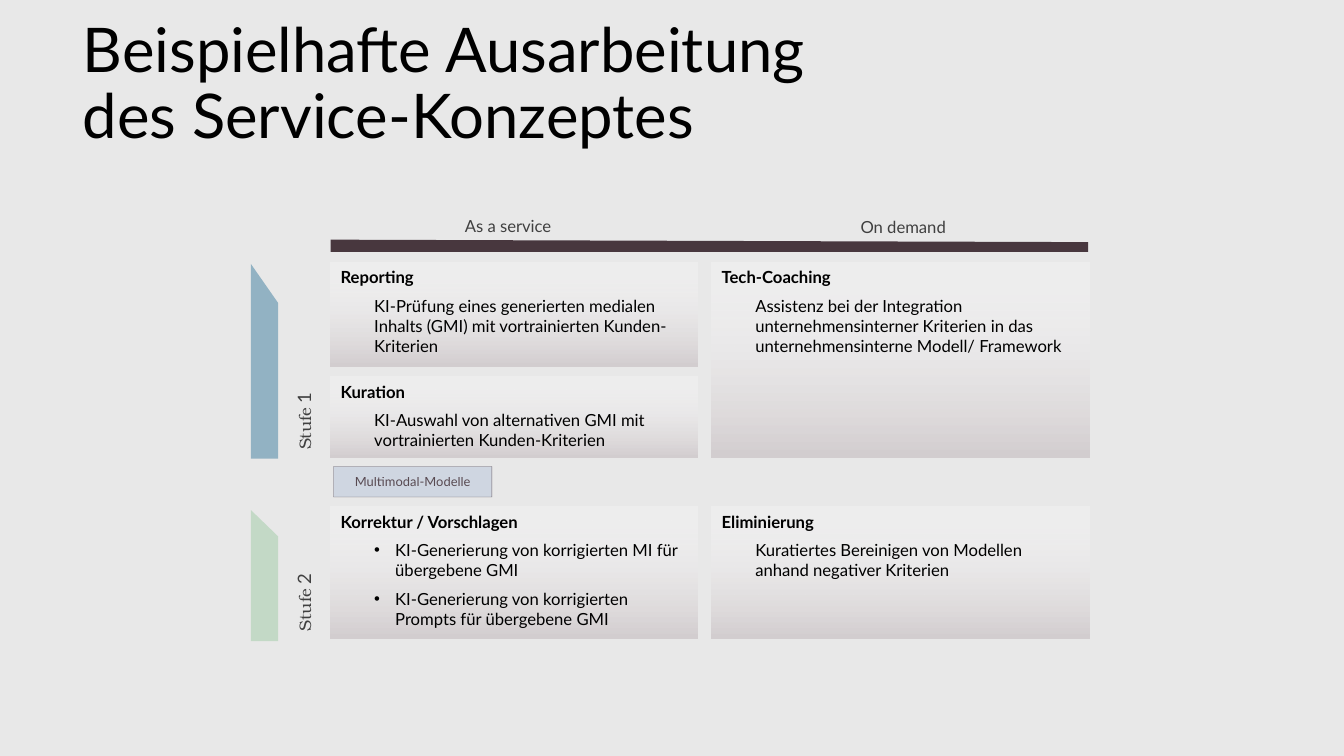
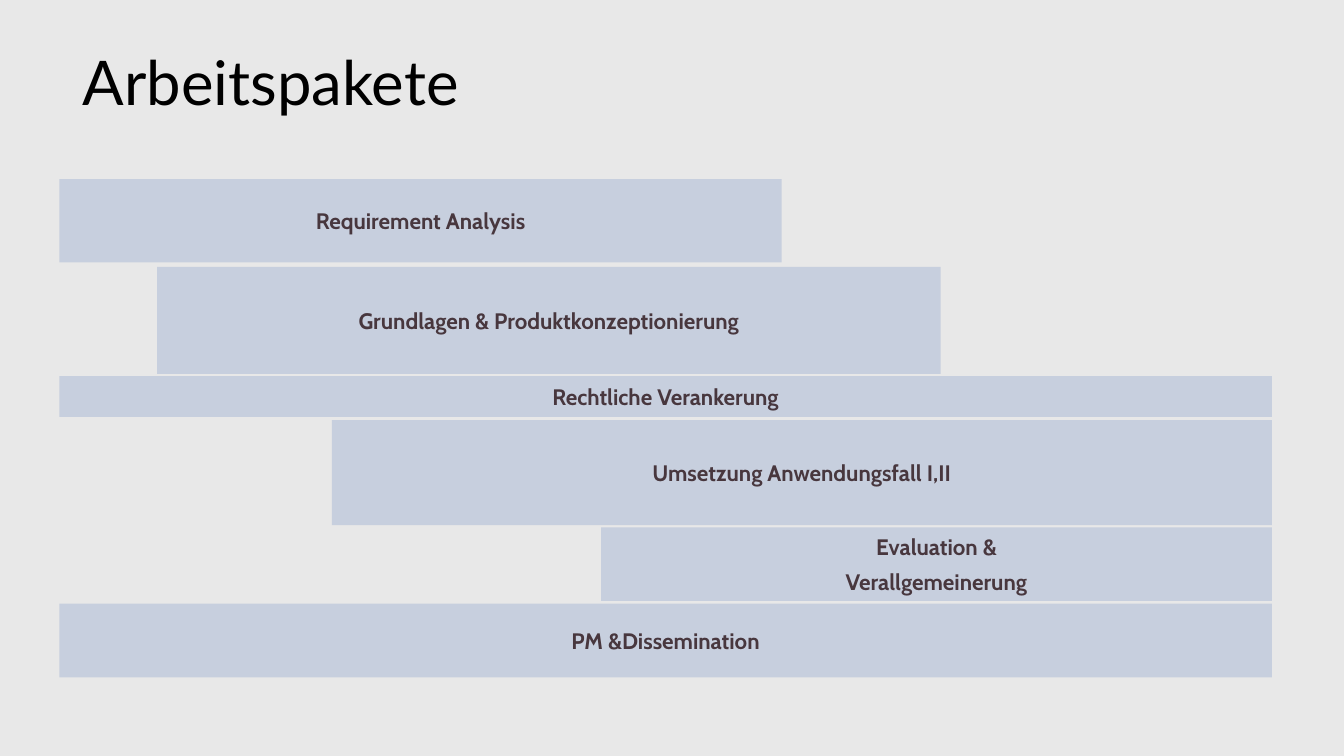
from lxml import etree
from pptx import Presentation
from pptx.dml.color import RGBColor
from pptx.enum.shapes import MSO_SHAPE
from pptx.enum.text import MSO_ANCHOR, PP_ALIGN
from pptx.oxml.ns import qn
from pptx.util import Pt

RECT, SLANTED = MSO_SHAPE.RECTANGLE, MSO_SHAPE.FLOWCHART_MANUAL_INPUT
LEFT, CENTER = PP_ALIGN.LEFT, PP_ALIGN.CENTER
TOP, MIDDLE, BOTTOM = MSO_ANCHOR.TOP, MSO_ANCHOR.MIDDLE, MSO_ANCHOR.BOTTOM

COLORS = {
    "background": "E8E8E8", "black": "000000", "label": "404040",
    "plum": "48373E", "card": "D3CED0", "white": "FFFFFF",
    "tag": "C9D1E0", "bar": "C7CFDE", "stage1": "92B2C3", "stage2": "C3D9C6",
}
SANS, SERIF, DISPLAY = "Lato", "TeX Gyre Bonum", "Cabin"
BODY = 11.9

# Content: service concept
SERVICE_TITLE = ["Beispielhafte Ausarbeitung", "des Service-Konzeptes"]
COLUMN_X, COLUMN_W = (236.2, 508.4), (262, 269.5)
STAGE1_TOP, STAGE1_BOTTOM = 187.2, 327
STAGE2_TOP, STAGE2_BOTTOM = 362, 456
# heading, column, top, bottom, bulleted, details
CARDS = [
    ("Reporting", 0, STAGE1_TOP, 262, False,
     ["KI-Prüfung eines generierten medialen Inhalts (GMI) mit vortrainierten Kunden-Kriterien"]),
    ("Kuration", 0, 269.2, STAGE1_BOTTOM, False,
     ["KI-Auswahl von alternativen GMI mit vortrainierten Kunden-Kriterien"]),
    ("Tech-Coaching", 1, STAGE1_TOP, STAGE1_BOTTOM, False,
     ["Assistenz bei der Integration unternehmensinterner Kriterien in das "
      "unternehmensinterne Modell/ Framework"]),
    ("Korrektur / Vorschlagen", 0, STAGE2_TOP, STAGE2_BOTTOM, True,
     ["KI-Generierung von korrigierten MI für übergebene GMI",
      "KI-Generierung von korrigierten Prompts für übergebene GMI"]),
    ("Eliminierung", 1, STAGE2_TOP, STAGE2_BOTTOM, False,
     ["Kuratiertes Bereinigen von Modellen anhand negativer Kriterien"]),
]
# text, left, top, width
COLUMN_HEADS = [("As a service", 236.2, 154, 253.4), ("On demand", 513.4, 154.8, 263.5)]
# number, colour, marker top, marker height, label top
STAGES = [("1", "stage1", 188.6, 139, 279.4), ("2", "stage2", 364.4, 93.6, 409)]

# Content: work packages (lines, left, right, top, height)
PACKAGES_TITLE = ["Arbeitspakete"]
START, END = 42.4, 908.5
PACKAGES = [
    (["Requirement Analysis"], START, 558.4, 128, 59.5),
    (["Grundlagen & Produktkonzeptionierung"], 112.2, 672, 190.6, 76.5),
    (["Rechtliche Verankerung"], START, END, 268.6, 29.2),
    (["Umsetzung Anwendungsfall I,II"], 237, END, 300.2, 74.9),
    (["Evaluation &", "Verallgemeinerung"], 429.3, END, 376.6, 52.7),
    (["PM &Dissemination"], START, END, 431.2, 52.7),
]


def rgb(name):
    return RGBColor.from_string(COLORS[name])


def fade(element, percent):
    color = element.find(".//" + qn("a:srgbClr"))
    etree.SubElement(color, qn("a:alpha"), val=str(percent * 1000))


def add_block(slide, box, fill=None, kind=RECT):
    block = slide.shapes.add_shape(kind, *map(Pt, box))
    block.shadow.inherit = False
    block.line.fill.background()
    if fill:
        block.fill.solid()
        block.fill.fore_color.rgb = rgb(fill)
    return block


def add_slanted(slide, box, fill):
    slanted = add_block(slide, box, fill, SLANTED)
    slanted._element.spPr.find(qn("a:xfrm")).set("flipH", "1")


def set_frame(shape, anchor):
    frame = shape.text_frame
    frame.word_wrap = True
    frame.vertical_anchor = anchor
    return frame


def next_paragraph(frame, align=LEFT, after=6):
    first = frame.paragraphs[0]
    paragraph = frame.add_paragraph() if first.runs else first
    paragraph.alignment = align
    paragraph.space_after = Pt(after)
    return paragraph


def add_run(paragraph, text, size=BODY, color="black", font=SANS, bold=False):
    run = paragraph.add_run()
    run.text = text
    run.font.size, run.font.name, run.font.bold = Pt(size), font, bold
    run.font.color.rgb = rgb(color)
    return run


def indent(paragraph, margin, hanging=0, bullet=None):
    paragraph.level = 1
    props = paragraph._p.get_or_add_pPr()
    props.set("marL", str(Pt(margin)))
    props.set("indent", str(Pt(-hanging)))
    if bullet:
        etree.SubElement(props, qn("a:buFont"), typeface="Arial")
        etree.SubElement(props, qn("a:buChar"), char=bullet)


def add_title(slide, lines):
    frame = set_frame(slide.shapes.add_textbox(Pt(52), Pt(0), Pt(726.5), Pt(122.4)), MIDDLE)
    paragraph = next_paragraph(frame, after=0)
    paragraph.line_spacing = 0.9
    for number, line in enumerate(lines):
        if number:
            paragraph.add_line_break()
        add_run(paragraph, line, 44)


def add_card(slide, heading, column, top, bottom, bulleted, details):
    card = add_block(slide, (COLUMN_X[column], top, COLUMN_W[column], bottom - top))
    card.fill.gradient()
    card.fill.gradient_angle = 90
    for stop, color in zip(card.fill.gradient_stops, ("card", "white")):
        stop.color.rgb = rgb(color)
    fade(card._element.spPr.findall(".//" + qn("a:gs"))[-1], 23)
    frame = set_frame(card, TOP)
    add_run(next_paragraph(frame), heading, bold=True)
    for detail in details:
        paragraph = next_paragraph(frame)
        if bulleted:
            indent(paragraph, 39, 15, "•")
        else:
            indent(paragraph, 24)
        add_run(paragraph, detail)


def build_service_concept(slide):
    add_title(slide, SERVICE_TITLE)
    # Column heads and header rule
    for text, left, top, width in COLUMN_HEADS:
        head = slide.shapes.add_textbox(Pt(left), Pt(top), Pt(width), Pt(18))
        add_run(next_paragraph(set_frame(head, BOTTOM), CENTER), text, color="label")
    add_slanted(slide, (COLUMN_X[0], 171.2, 541, 8.8), "plum")
    # Stage markers with rotated labels
    for number, color, top, height, label_top in STAGES:
        add_slanted(slide, (179.3, top, 19.4, height), color)
        label = slide.shapes.add_textbox(Pt(187.5), Pt(label_top), Pt(59), Pt(39))
        label.rotation = 270
        paragraph = next_paragraph(set_frame(label, MIDDLE))
        add_run(paragraph, "Stufe", color="label", font=SERIF)
        add_run(paragraph, " " + number, 13.2, "label")
    for card in CARDS:
        add_card(slide, *card)
    # Model tag between the stages
    tag = add_block(slide, (238.2, 333.2, 113.2, 21.8), "tag")
    tag.line.color.rgb = rgb("plum")
    tag.line.width = Pt(0.25)
    props = tag._element.spPr
    fade(props.find(qn("a:solidFill")), 78)
    fade(props.find(qn("a:ln")), 72)
    paragraph = next_paragraph(set_frame(tag, MIDDLE), CENTER)
    fade(add_run(paragraph, "Multimodal-Modelle", 9.2, "plum")._r, 88)


def build_work_packages(slide):
    add_title(slide, PACKAGES_TITLE)
    for lines, left, right, top, height in PACKAGES:
        bar = add_block(slide, (left, top, right - left, height), "bar")
        frame = set_frame(bar, MIDDLE)
        for line in lines:
            add_run(next_paragraph(frame, CENTER), line, 16, "plum", DISPLAY, True)


def main():
    prs = Presentation()
    prs.slide_width, prs.slide_height = Pt(960), Pt(540)
    backdrop = prs.slide_master.background.fill
    backdrop.solid()
    backdrop.fore_color.rgb = rgb("background")
    for build in (build_service_concept, build_work_packages):
        build(prs.slides.add_slide(prs.slide_layouts[6]))
    prs.save("out.pptx")


if __name__ == "__main__":
    main()
